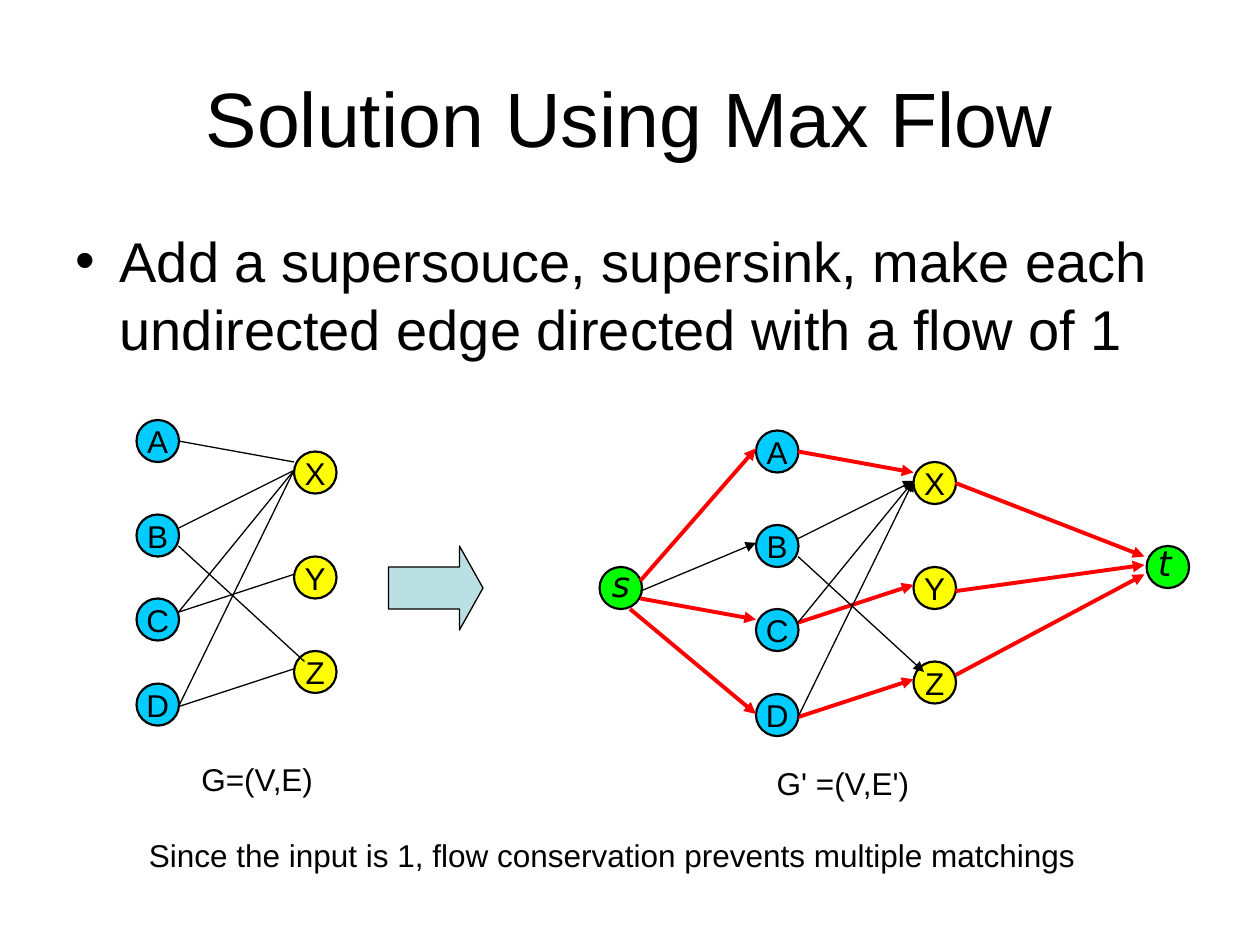
"""Build the slide that turns bipartite matching into a max flow."""
from pptx import Presentation
from pptx.dml.color import RGBColor
from pptx.enum.shapes import MSO_CONNECTOR, MSO_SHAPE
from pptx.enum.text import MSO_ANCHOR, MSO_AUTO_SIZE, PP_ALIGN
from pptx.oxml.ns import qn
from pptx.util import Inches, Pt
from lxml import etree

LINE = MSO_CONNECTOR.STRAIGHT
OVAL, ARROW = MSO_SHAPE.OVAL, MSO_SHAPE.RIGHT_ARROW
MID, TOP = MSO_ANCHOR.MIDDLE, MSO_ANCHOR.TOP
LEFT, CENTER = PP_ALIGN.LEFT, PP_ALIGN.CENTER
FIXED = MSO_AUTO_SIZE.NONE

COLS, ROWS = 120, 90
BLACK, RED, BLUE, YELLOW, GREEN, TEAL = (
    "000000", "FF0000", "00CCFF", "FFFF00", "00FF00", "BBE0E3")
SANS, MATH = "Arial", "DejaVu Sans"

TITLE = "Solution Using Max Flow"
POINT = "Add a supersouce, supersink, make each undirected edge directed with a flow of 1"
SIDES = [
    (13, BLUE, [("A", 40), ("B", 49), ("C", 57), ("D", 65.1)]),
    (28, YELLOW, [("X", 43), ("Y", 53), ("Z", 62)]),
]
EDGES = [
    (17, 42, 28, 44, True),
    (17, 50.3, 28, 44.8, False),
    (17, 58.3, 28, 54.7, True),
    (17, 67.3, 28, 63.7, True),
    (17, 67.3, 28, 44.8, False),
    (17, 52, 29, 63, False),
    (17, 58.3, 28, 44.8, False),
]
GRAPHS = [(0, 0, False), (59, 1, True)]
ENDS = [("s", 57.1, 54, 57.1, 53, 3.8), ("t", 109.2, 52, 109.1, 51, 3.5)]
FLOWS = [
    (61, 55.3, 72, 42.7, True),
    (61, 56.3, 72, 51.7, False),
    (61, 57, 72, 59, True),
    (60, 58, 72, 68, True),
    (91, 46, 109, 53, True),
    (91, 56.3, 109, 53.8, True),
    (91, 64.3, 109, 54.7, True),
]
NOTES = [
    ("Since the input is 1, flow conservation prevents multiple matchings", 13, 79, 90.6),
    ("G=(V,E)", 18, 71.8, 14.2),
    ("G' =(V,E')", 72.8, 72.2, 17),
]

deck = Presentation()
deck.slide_width, deck.slide_height = Inches(10), Inches(7.5)
slide = deck.slides.add_slide(deck.slide_layouts[1])
shapes = slide.shapes


def grid(*vals):
    """Turn x, y pairs of grid units into slide lengths."""
    units = deck.slide_width / COLS, deck.slide_height / ROWS
    return [round(val * units[i % 2]) for i, val in enumerate(vals)]


def tint(code):
    """Return the colour for a hex string."""
    return RGBColor.from_string(code)


def write(shape, text, size, face=SANS, align=LEFT, anchor=TOP, wrap=False):
    """Put one formatted paragraph into a shape."""
    frame = shape.text_frame
    frame.text = text
    frame.auto_size, frame.word_wrap = FIXED, wrap
    frame.vertical_anchor = anchor
    para = frame.paragraphs[0]
    para.alignment, para.space_before = align, Pt(0)
    font = para.font
    font.name, font.size, font.italic = face, Pt(size), face == MATH
    font.color.rgb = tint(BLACK)
    return para


def place(shape, *box):
    """Move a placeholder to a grid box."""
    shape.left, shape.top, shape.width, shape.height = grid(*box)


def draw(kind, box, fill, width):
    """Add a filled, outlined shape."""
    shape = shapes.add_shape(kind, *grid(*box))
    shape.shadow.inherit = False
    shape.fill.solid()
    shape.fill.fore_color.rgb = tint(fill)
    shape.line.color.rgb = tint(BLACK)
    shape.line.width = Pt(width)
    return shape


def node(x, y, fill):
    """Add a graph node."""
    return draw(OVAL, (x, y, 4.05, 4), fill, 1.25)


def label(text, x, y, w, h, size, face=SANS):
    """Add a text box on one line."""
    write(shapes.add_textbox(*grid(x, y, w, h)), text, size, face)


def link(x1, y1, x2, y2, red=False, head=True):
    """Add an edge, with an arrowhead if it is directed."""
    edge = shapes.add_connector(LINE, *grid(x1, y1, x2, y2))
    edge.line.color.rgb = tint(RED if red else BLACK)
    edge.line.width = Pt(2.25 if red else 0.75)
    props = edge._element.spPr
    if head:
        etree.SubElement(props.find(qn("a:ln")), qn("a:tailEnd"), type="triangle")
    etree.SubElement(props, qn("a:effectLst"))


def graph(dx, dy, flow):
    """Add the two sides of a graph and the edges between them."""
    for x, fill, names in SIDES:
        for name, y in names:
            write(node(x + dx, y + dy, fill), name, 18, align=CENTER, anchor=MID)
    for x1, y1, x2, y2, red in EDGES:
        link(x1 + dx, y1 + dy, x2 + dx, y2 + dy, red and flow, flow)


def main():
    """Fill the slide and save it."""
    title, body = shapes.title, slide.placeholders[1]
    place(title, 6, 3.6, 108, 15)
    write(title, TITLE, 44, align=CENTER, anchor=MID, wrap=True)
    place(body, 6, 21, 108, 59.4)
    props = write(body, POINT, 32, wrap=True)._p.get_or_add_pPr()
    props.set("marL", str(Inches(0.35)))
    props.set("indent", str(Inches(-0.35)))

    for spot in GRAPHS:
        graph(*spot)
    arrow = draw(ARROW, (37, 52, 9, 8), TEAL, 0.75)
    arrow.adjustments[0], arrow.adjustments[1] = 0.5, 0.28
    for name, x, y, left, top, wide in ENDS:
        node(x, y, GREEN)
        label(name, left, top, wide, 5.3, 20, MATH)
    for flow in FLOWS:
        link(*flow)
    for text, x, y, wide in NOTES:
        label(text, x, y, wide, 4.8, 18)
    deck.save("out.pptx")


if __name__ == "__main__":
    main()
